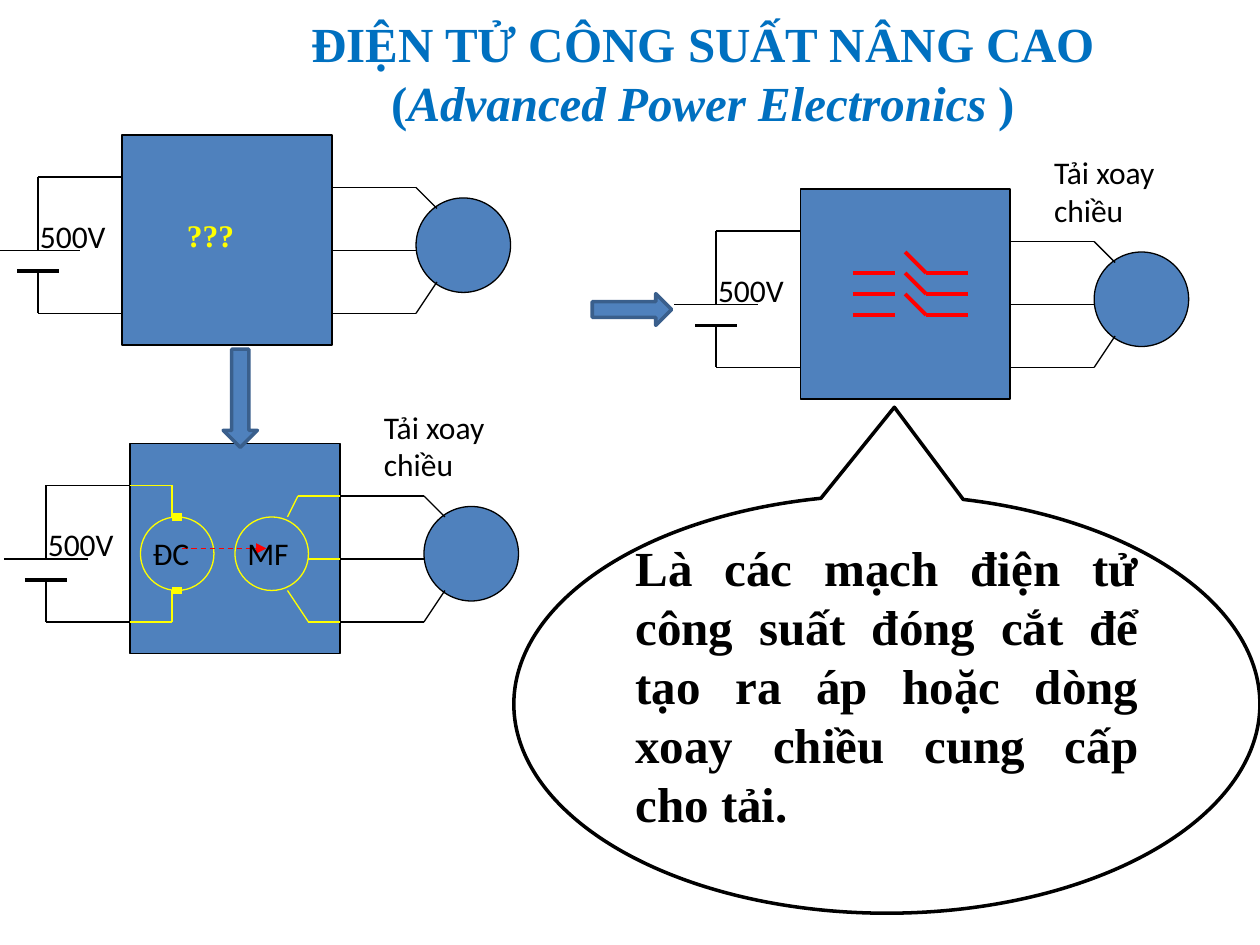
from lxml import etree
from pptx import Presentation
from pptx.dml.color import RGBColor
from pptx.enum.dml import MSO_LINE
from pptx.enum.shapes import MSO_CONNECTOR, MSO_SHAPE
from pptx.enum.text import MSO_ANCHOR, MSO_AUTO_SIZE, PP_ALIGN
from pptx.oxml.ns import qn
from pptx.util import Cm, Pt

RECTANGLE, OVAL = MSO_SHAPE.RECTANGLE, MSO_SHAPE.OVAL
RIGHT_ARROW, DOWN_ARROW = MSO_SHAPE.RIGHT_ARROW, MSO_SHAPE.DOWN_ARROW
CALLOUT = MSO_SHAPE.OVAL_CALLOUT
STRAIGHT = MSO_CONNECTOR.STRAIGHT
DASH = MSO_LINE.DASH
MIDDLE = MSO_ANCHOR.MIDDLE
NO_FIT = MSO_AUTO_SIZE.NONE
CENTER, JUSTIFY = PP_ALIGN.CENTER, PP_ALIGN.JUSTIFY

THEME = {
    "black": RGBColor(0x00, 0x00, 0x00),
    "blue": RGBColor(0x4F, 0x81, 0xBD),
    "edge": RGBColor(0x3A, 0x5F, 0x8C),
    "title": RGBColor(0x00, 0x70, 0xC0),
    "yellow": RGBColor(0xFF, 0xFF, 0x00),
    "red": RGBColor(0xFF, 0x00, 0x00),
    "label": {"name": "Calibri", "size": Pt(18), "bold": False},
    "unknown": {"name": "Times New Roman", "size": Pt(18), "bold": True},
    "heading": {"name": "Times New Roman", "size": Pt(28), "bold": True},
    "thin": Pt(0.75),
    "medium": Pt(2),
    "thick": Pt(2.25),
    "brush": Pt(4.5),
}
GRID = 2.54 / 12


def add_span(para, text, style, color, italic=False):
    span = para.add_run()
    span.text = text
    for name, value in {**THEME[style], "italic": italic}.items():
        setattr(span.font, name, value)
    span.font.color.rgb = THEME[color]


def add_outlined(shapes, kind, frame, line, width, fill=None):
    shape = shapes.add_shape(kind, *[Cm(value) for value in frame])
    shape.shadow.inherit = False
    shape.line.color.rgb = THEME[line]
    shape.line.width = THEME[width]
    if fill:
        shape.fill.solid()
        shape.fill.fore_color.rgb = THEME[fill]
    else:
        shape.fill.background()
    return shape


deck = Presentation()
deck.slide_width, deck.slide_height = Cm(25.4), Cm(19.05)
page = deck.slides.add_slide(deck.slide_layouts[5])

title = page.shapes.title
title_place = {"left": 3.38, "top": 0.18, "width": 21.59, "height": 2.57}
for name, value in title_place.items():
    setattr(title, name, Cm(value))
title.text_frame.auto_size = NO_FIT
title.text_frame.vertical_anchor = MIDDLE
para = title.text_frame.paragraphs[0]
para.alignment = CENTER
add_span(para, "ĐIỆN TỬ CÔNG SUẤT NÂNG CAO", "heading", "title")
para.add_line_break()
add_span(para, "(", "heading", "title")
add_span(para, "Advanced Power Electronics ", "heading", "title", italic=True)
add_span(para, ")", "heading", "title")

# Circuit parts are in grid steps from the converter's top left corner.
supply_wires = [
    (-12, 11, -4, 11), (-8, 13, -8, 17), (-8, 4, -8, 11),
    (-8, 17, 0, 17), (-8, 4, 0, 4),
]
load_wires = [(28, y, 20, y) for y in (17, 5, 11)]
load_wires += [(28, 17, 30, 14), (28, 5, 30, 7)]
common_wires = [(wire, "black", "thin") for wire in supply_wires + load_wires]
common_wires.append(((-10, 13, -6, 13), "black", "thick"))

machine_wires = [
    (4, 4, 4, 7), (4, 14, 4, 17), (4, 4, 0, 4), (4, 17, 0, 17),
    (15, 7, 16, 5), (16, 5, 20, 5), (15, 14, 17, 17),
    (17, 17, 20, 17), (20, 11, 17, 11),
]
motor_wires = [(wire, "yellow", "thin") for wire in machine_wires]
motor_wires += [((4, y, 5, y), "yellow", "brush") for y in (14, 7)]
motor_wires.append(((5, 10, 13, 10), "red", "thin"))

switch_wires = [
    (wire, "red", "thick")
    for y in (8, 10, 12)
    for wire in [(5, y, 9, y), (12, y, 16, y), (12, y, 10, y - 2)]
]
load_label = ("Tải xoay chiều", (23, -4, 16, 8.4), "label", "black")

circuits = [
    {
        "origin": (2.46, 2.72), "machines": [], "wires": [],
        "labels": [("???", (5, 7.1, 8, 4.8), "unknown", "yellow")],
    },
    {
        "origin": (2.62, 8.94), "machines": [1, 10], "wires": motor_wires,
        "labels": [
            load_label,
            ("MF", (10, 8, 7, 4.8), "label", "black"),
            ("ĐC", (1, 8, 7, 4.8), "label", "black"),
        ],
    },
    {
        "origin": (16.13, 3.81), "machines": [], "wires": switch_wires,
        "labels": [load_label],
    },
]

for circuit in circuits:
    left, top = circuit["origin"]
    parts = page.shapes.add_group_shape().shapes
    solids = [(RECTANGLE, (0, 0, 20, 20), "black"), (OVAL, (28, 6, 9, 9), "black")]
    solids += [(OVAL, (x, 7, 7, 7), "yellow") for x in circuit["machines"]]
    for kind, (x, y, width, height), color in solids:
        frame = (left + x * GRID, top + y * GRID, width * GRID, height * GRID)
        add_outlined(parts, kind, frame, color, "thin", "blue")

    for (x1, y1, x2, y2), color, weight in common_wires + circuit["wires"]:
        wire = parts.add_connector(
            STRAIGHT,
            Cm(left + x1 * GRID), Cm(top + y1 * GRID),
            Cm(left + x2 * GRID), Cm(top + y2 * GRID),
        )
        wire.line.color.rgb = THEME[color]
        wire.line.width = THEME[weight]
        properties = wire._element.spPr
        if color == "red" and weight == "thin":
            wire.line.dash_style = DASH
            etree.SubElement(properties.find(qn("a:ln")), qn("a:tailEnd"), type="triangle")
        etree.SubElement(properties, qn("a:effectLst"))

    voltage = ("500V", (-9, 7.2, 12, 4.8), "label", "black")
    for text, (x, y, width, height), style, color in [voltage] + circuit["labels"]:
        box = parts.add_textbox(
            Cm(left + x * GRID), Cm(top + y * GRID), Cm(width * GRID), Cm(height * GRID)
        )
        box.text_frame.word_wrap = True
        add_span(box.text_frame.paragraphs[0], text, style, color)

add_outlined(page.shapes, RIGHT_ARROW, (11.94, 5.92, 1.6, 0.64), "edge", "medium", "blue")
add_outlined(page.shapes, DOWN_ARROW, (4.5, 7.04, 0.69, 1.98), "edge", "medium", "blue")

callout = add_outlined(page.shapes, CALLOUT, (10.36, 9.98, 15.04, 8.43), "black", "medium")
callout.adjustments[0], callout.adjustments[1] = 0.01, -0.71
frame_format = {"word_wrap": True, "vertical_anchor": MIDDLE, "margin_bottom": Cm(0.9)}
for name, value in frame_format.items():
    setattr(callout.text_frame, name, value)
para = callout.text_frame.paragraphs[0]
para.alignment = JUSTIFY
explanation = (
    "Là các mạch điện tử công suất đóng cắt để tạo ra áp "
    "hoặc dòng xoay chiều cung cấp cho tải."
)
add_span(para, explanation, "heading", "black")

deck.save("out.pptx")
